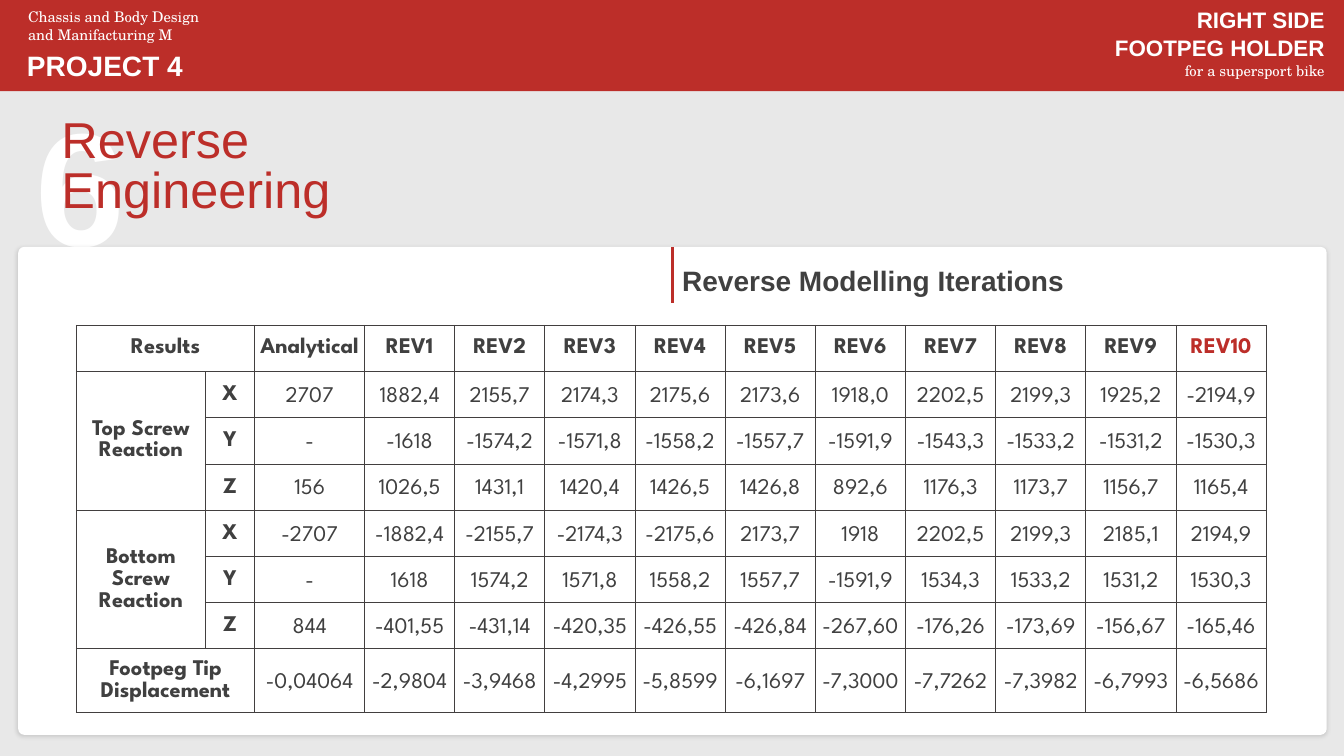
from dataclasses import dataclass

from lxml.etree import SubElement
from pptx import Presentation
from pptx.dml.color import RGBColor
from pptx.enum.shapes import MSO_CONNECTOR, MSO_SHAPE
from pptx.enum.text import MSO_ANCHOR, MSO_AUTO_SIZE, PP_ALIGN
from pptx.oxml import parse_xml
from pptx.oxml.ns import qn
from pptx.util import Pt

DRAWING_NS = 'xmlns:a="http://schemas.openxmlformats.org/drawingml/2006/main"'


@dataclass(frozen=True)
class Theme:
    red: str = "BC2E29"
    white: str = "FFFFFF"
    ink: str = "404040"
    border: str = "423F3F"
    backdrop: str = "E8E8E8"
    sans: str = "Arial"
    serif: str = "TeX Gyre Schola"
    grid: str = "League Spartan"
    small: float = 10.5
    body: float = 16
    heading: float = 20
    title: float = 36
    numeral: float = 115


class SlideBuilder:
    def __init__(self, slide, theme):
        self.slide = slide
        self.theme = theme
        fill = slide.background.fill
        fill.solid()
        fill.fore_color.rgb = RGBColor.from_string(theme.backdrop)

    def set_words(self, frame, words, size, color, font=None, bold=False,
                  align=PP_ALIGN.LEFT, spacing=None, after=0):
        frame.text = words
        for paragraph in frame.paragraphs:
            paragraph.alignment = align
            paragraph.space_after = Pt(after)
            if spacing:
                paragraph.line_spacing = spacing
            for run in paragraph.runs:
                run.font.name = font or self.theme.sans
                run.font.size = Pt(size)
                run.font.bold = bold
                run.font.color.rgb = RGBColor.from_string(color)

    def text(self, box, words, size, color, anchor=MSO_ANCHOR.TOP, inset=3.6, **style):
        frame = self.slide.shapes.add_textbox(*map(Pt, box)).text_frame
        frame.word_wrap = True
        frame.vertical_anchor = anchor
        frame.margin_top = Pt(inset)
        self.set_words(frame, words, size, color, **style)

    def title(self, box, words):
        title = self.slide.shapes.title
        title.left, title.top, title.width, title.height = map(Pt, box)
        frame = title.text_frame
        frame.word_wrap = True
        frame.auto_size = MSO_AUTO_SIZE.NONE
        frame.vertical_anchor = MSO_ANCHOR.TOP
        self.set_words(frame, words, self.theme.title, self.theme.red,
                       spacing=Pt(self.theme.title))
        self.slide.shapes.element.append(title.element)

    def panel(self, box, color, kind=MSO_SHAPE.RECTANGLE):
        panel = self.slide.shapes.add_shape(kind, *map(Pt, box))
        panel.shadow.inherit = False
        panel.fill.solid()
        panel.fill.fore_color.rgb = RGBColor.from_string(color)
        panel.line.fill.background()
        return panel

    def card(self, box, color):
        card = self.panel(box, color, MSO_SHAPE.ROUNDED_RECTANGLE)
        card.adjustments[0] = 0.012
        effects = card.element.spPr.find(qn("a:effectLst"))
        effects.append(parse_xml(
            f'<a:outerShdw {DRAWING_NS} blurRad="{Pt(3)}" dist="{Pt(1)}" dir="5400000" '
            'algn="t" rotWithShape="0"><a:srgbClr val="000000"><a:alpha val="15000"/>'
            '</a:srgbClr></a:outerShdw>'))
        return card

    def marker(self, card, length):
        x = card.left + card.width // 2
        marker = self.slide.shapes.add_connector(
            MSO_CONNECTOR.STRAIGHT, x, card.top, x, card.top + Pt(length))
        marker.begin_connect(card, 0)
        marker.line.color.rgb = RGBColor.from_string(self.theme.red)
        marker.line.width = Pt(2.25)
        SubElement(marker.element.spPr, qn("a:effectLst"))

    def cell(self, cell, words, label, color, spacing):
        properties = cell._tc.get_or_add_tcPr()
        for side in ("lnL", "lnR", "lnT", "lnB"):
            properties.append(parse_xml(
                f'<a:{side} {DRAWING_NS} w="{Pt(0.75)}"><a:solidFill>'
                f'<a:srgbClr val="{self.theme.border}"/></a:solidFill></a:{side}>'))
        cell.fill.solid()
        cell.fill.fore_color.rgb = RGBColor.from_string(self.theme.white)
        cell.vertical_anchor = MSO_ANCHOR.MIDDLE
        cell.margin_left = cell.margin_right = Pt(0.7 if label else 3.6)
        cell.margin_top = cell.margin_bottom = 0
        self.set_words(cell.text_frame, words, self.theme.body, color, font=self.theme.grid,
                       bold=label, align=PP_ALIGN.CENTER, spacing=spacing,
                       after=0 if label else 8)

    def table(self, left, top, widths, heights, rows, spans):
        table = self.slide.shapes.add_table(
            len(heights), len(widths), Pt(left), Pt(top),
            Pt(sum(widths)), Pt(sum(heights))).table
        table.first_row = table.horz_banding = False
        for column, width in zip(table.columns, widths):
            column.width = Pt(width)
        for row, height in zip(table.rows, heights):
            row.height = Pt(height)
        for r, row in enumerate(rows):
            for c, words in enumerate(row):
                label = r == 0 or c < 2
                last = r == 0 and c == len(row) - 1
                self.cell(table.cell(r, c), words, label,
                          self.theme.red if last else self.theme.ink,
                          (1.07 if r > 1 else 1.0) if label else 1.25)
        for first, last in spans:
            table.cell(*first).merge(table.cell(*last))


RESULTS = [
    ["Results", "", "Analytical"] + [f"REV{n}" for n in range(1, 11)],
    ["Top Screw Reaction", "X", "2707", "1882,4", "2155,7", "2174,3", "2175,6",
     "2173,6", "1918,0", "2202,5", "2199,3", "1925,2", "-2194,9"],
    ["", "Y", "-", "-1618", "-1574,2", "-1571,8", "-1558,2",
     "-1557,7", "-1591,9", "-1543,3", "-1533,2", "-1531,2", "-1530,3"],
    ["", "Z", "156", "1026,5", "1431,1", "1420,4", "1426,5",
     "1426,8", "892,6", "1176,3", "1173,7", "1156,7", "1165,4"],
    ["Bottom Screw Reaction", "X", "-2707", "-1882,4", "-2155,7", "-2174,3", "-2175,6",
     "2173,7", "1918", "2202,5", "2199,3", "2185,1", "2194,9"],
    ["", "Y", "-", "1618", "1574,2", "1571,8", "1558,2",
     "1557,7", "-1591,9", "1534,3", "1533,2", "1531,2", "1530,3"],
    ["", "Z", "844", "-401,55", "-431,14", "-420,35", "-426,55",
     "-426,84", "-267,60", "-176,26", "-173,69", "-156,67", "-165,46"],
    ["Footpeg Tip Displacement", "", "-0,04064", "-2,9804", "-3,9468", "-4,2995", "-5,8599",
     "-6,1697", "-7,3000", "-7,7262", "-7,3982", "-6,7993", "-6,5686"],
]
SPANS = [((0, 0), (0, 1)), ((1, 0), (3, 0)), ((4, 0), (6, 0)), ((7, 0), (7, 1))]


def main():
    theme = Theme()
    deck = Presentation()
    deck.slide_width, deck.slide_height = Pt(960), Pt(540)
    page = SlideBuilder(deck.slides.add_slide(deck.slide_layouts[5]), theme)

    page.text((18, 46.8, 36.7, 146.9), "6", theme.numeral, theme.white,
              inset=14, bold=True, align=PP_ALIGN.CENTER)
    page.panel((0, 0, 960, 65.2), theme.red)
    page.text((13, 2.2, 183.6, 32.4), "Chassis and Body Design\nand Manifacturing M",
              theme.small, theme.white, font=theme.serif)
    page.text((12.2, 31, 183.6, 31.7), "PROJECT 4", theme.heading, theme.white,
              anchor=MSO_ANCHOR.MIDDLE, bold=True)
    page.text((766.8, 0, 186.5, 46), "RIGHT SIDE\nFOOTPEG HOLDER", theme.body, theme.white,
              bold=True, align=PP_ALIGN.RIGHT, spacing=1.05)
    page.text((796.3, 40.3, 157, 20.2), "for a supersport bike", theme.small, theme.white,
              font=theme.serif, align=PP_ALIGN.RIGHT)
    page.title((36.7, 80.6, 295.2, 80), "Reverse Engineering")

    card = page.card((13, 176.4, 934.6, 348.5), theme.white)
    page.text((480.2, 185, 378, 31.7), "Reverse Modelling Iterations",
              theme.heading, theme.ink, bold=True)
    page.marker(card, 40)
    page.table(54.5, 232.4, [92.2, 35.3, 78.4] + [64.43] * 10,
               [33] * 7 + [45.4], RESULTS, SPANS)
    deck.save("out.pptx")


if __name__ == "__main__":
    main()
